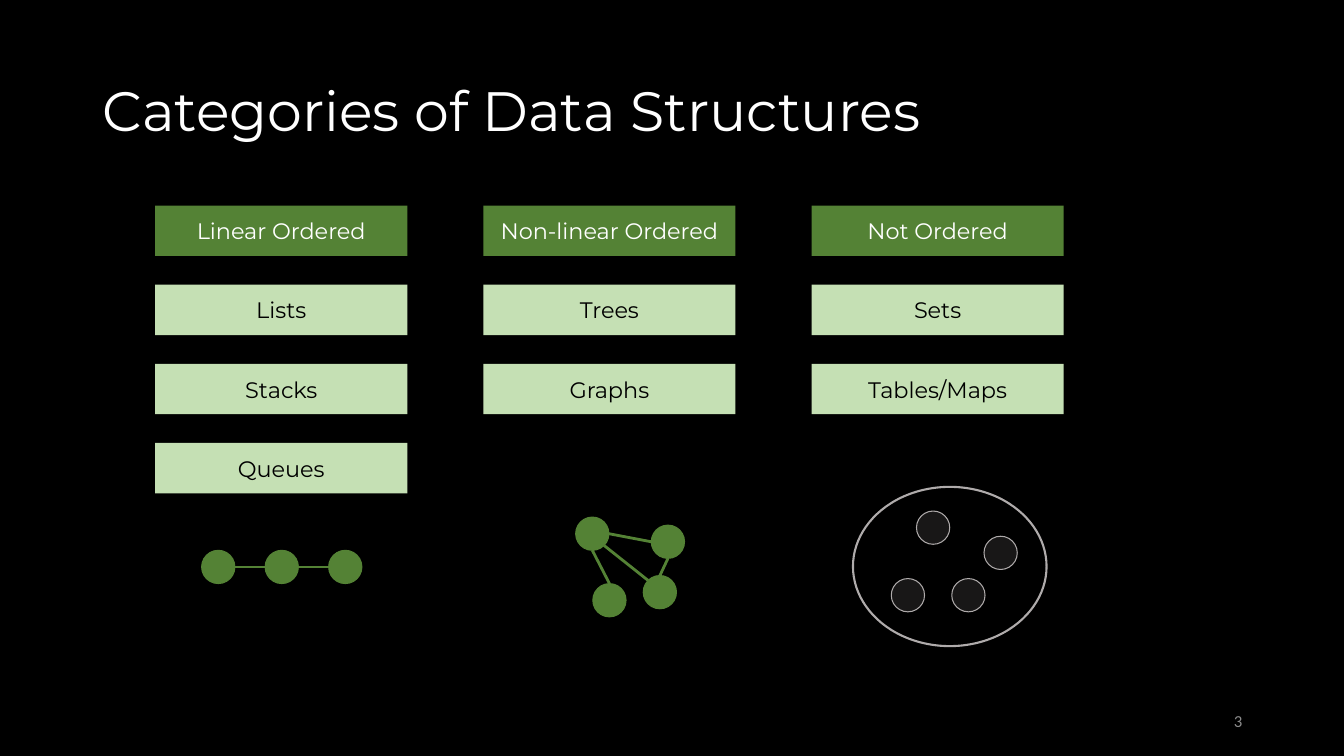
from dataclasses import dataclass
from math import cos, radians, sin

from lxml import etree
from pptx import Presentation
from pptx.dml.color import RGBColor
from pptx.enum.shapes import MSO_CONNECTOR, MSO_SHAPE
from pptx.enum.text import MSO_ANCHOR, PP_ALIGN
from pptx.oxml.ns import qn
from pptx.shapes.autoshape import Shape
from pptx.shapes.group import GroupShape
from pptx.slide import Slide
from pptx.util import Inches, Pt

RECT, OVAL = MSO_SHAPE.RECTANGLE, MSO_SHAPE.OVAL
STRAIGHT = MSO_CONNECTOR.STRAIGHT
MIDDLE = MSO_ANCHOR.MIDDLE
LEFT, CENTER, RIGHT = PP_ALIGN.LEFT, PP_ALIGN.CENTER, PP_ALIGN.RIGHT

BLACK = RGBColor(0x00, 0x00, 0x00)
WHITE = RGBColor(0xFF, 0xFF, 0xFF)
GREEN = RGBColor(0x54, 0x82, 0x35)
LIGHT_GREEN = RGBColor(0xC5, 0xE0, 0xB4)
CHARCOAL = RGBColor(0x18, 0x17, 0x17)
GREY = RGBColor(0xAF, 0xAB, 0xAB)
NUMBER_GREY = RGBColor(0x8C, 0x8C, 0x8C)

HEADING_FONT = "Montserrat"
NUMBER_FONT = "Calibri"

COLUMN_LEFT, COLUMN_STEP = 1.54, 3.255
ROW_TOP, ROW_STEP = 2.04, 0.785
BOX_W, BOX_H = 2.5, 0.5
NODE = 0.33

# Angles on a node, clockwise from its right side
EAST, SOUTH_EAST, SOUTH, WEST, NORTH_WEST, NORTH = 0, 45, 90, 180, 225, 270


@dataclass(frozen=True)
class Category:
    name: str
    members: tuple[str, ...]


@dataclass(frozen=True)
class Node:
    left: float
    top: float

    def rim(self, angle: int) -> tuple[float, float]:
        """Point on the outline at the given angle."""
        r = NODE / 2
        return (self.left + r + r * cos(radians(angle)),
                self.top + r + r * sin(radians(angle)))


@dataclass(frozen=True)
class Edge:
    start: int
    start_angle: int
    end: int
    end_angle: int


CATEGORIES = (
    Category("Linear Ordered", ("Lists", "Stacks", "Queues")),
    Category("Non-linear Ordered", ("Trees", "Graphs")),
    Category("Not Ordered", ("Sets", "Tables/Maps")),
)

CHAIN_NODES = tuple(Node(2 + 0.63 * i, 5.46) for i in range(3))
CHAIN_EDGES = tuple(Edge(i, EAST, i + 1, WEST) for i in range(2))

GRAPH_NODES = (Node(5.71, 5.13), Node(6.46, 5.21), Node(5.88, 5.79), Node(6.38, 5.71))
GRAPH_EDGES = (
    Edge(0, EAST, 1, WEST),
    Edge(1, SOUTH, 3, NORTH),
    Edge(0, SOUTH_EAST, 3, NORTH_WEST),
    Edge(0, SOUTH, 2, NORTH),
)

SET_NODES = (Node(9.09, 5.07), Node(9.76, 5.32), Node(8.84, 5.74), Node(9.44, 5.74))


def write(sp: Shape, text: str, size: float, color: RGBColor,
          align: PP_ALIGN, font: str = HEADING_FONT) -> None:
    tf = sp.text_frame
    tf.word_wrap = True
    tf.vertical_anchor = MIDDLE
    p = tf.paragraphs[0]
    p.alignment = align
    r = p.add_run()
    r.text = text
    r.font.name = font
    r.font.size = Pt(size)
    r.font.color.rgb = color


def add_text(s: Slide, left: float, top: float, width: float, height: float) -> Shape:
    return s.shapes.add_textbox(Inches(left), Inches(top), Inches(width), Inches(height))


def add_box(s: Slide, column: int, row: int, text: str,
            fill: RGBColor, color: RGBColor) -> None:
    sp = s.shapes.add_shape(RECT, Inches(COLUMN_LEFT + column * COLUMN_STEP),
                            Inches(ROW_TOP + row * ROW_STEP), Inches(BOX_W), Inches(BOX_H))
    sp.shadow.inherit = False
    sp.fill.solid()
    sp.fill.fore_color.rgb = fill
    sp.line.fill.background()
    write(sp, text, 16, color, CENTER)


def add_oval(group: GroupShape, left: float, top: float, width: float, height: float,
             fill: RGBColor | None, line: RGBColor, weight: float) -> None:
    sp = group.shapes.add_shape(OVAL, Inches(left), Inches(top), Inches(width), Inches(height))
    sp.shadow.inherit = False
    if fill is None:
        sp.fill.background()
    else:
        sp.fill.solid()
        sp.fill.fore_color.rgb = fill
    sp.line.color.rgb = line
    sp.line.width = Pt(weight)


def add_network(s: Slide, nodes: tuple[Node, ...], edges: tuple[Edge, ...],
                fill: RGBColor, line: RGBColor) -> GroupShape:
    """Group of round nodes joined by straight edges."""
    group = s.shapes.add_group_shape()
    for node in nodes:
        add_oval(group, node.left, node.top, NODE, NODE, fill, line, 0.75)
    for edge in edges:
        x1, y1 = nodes[edge.start].rim(edge.start_angle)
        x2, y2 = nodes[edge.end].rim(edge.end_angle)
        cxn = group.shapes.add_connector(STRAIGHT, Inches(x1), Inches(y1),
                                         Inches(x2), Inches(y2))
        cxn.line.color.rgb = line
        cxn.line.width = Pt(2)
        etree.SubElement(cxn._element.spPr, qn("a:effectLst"))
    return group


def main() -> None:
    prs = Presentation()
    prs.slide_width, prs.slide_height = Inches(13.33), Inches(7.5)
    s = prs.slides.add_slide(prs.slide_layouts[6])
    s.background.fill.solid()
    s.background.fill.fore_color.rgb = BLACK

    title = add_text(s, 0.92, 0.4, 11.5, 1.45)
    write(title, "Categories of Data Structures", 39.6, WHITE, LEFT)
    title.text_frame.paragraphs[0].line_spacing = 0.9

    for column, category in enumerate(CATEGORIES):
        add_box(s, column, 0, category.name, GREEN, WHITE)
        for row, member in enumerate(category.members, start=1):
            add_box(s, column, row, member, LIGHT_GREEN, BLACK)

    set_group = add_network(s, SET_NODES, (), CHARCOAL, GREY)
    add_oval(set_group, 8.46, 4.83, 1.92, 1.58, None, GREY, 1.5)
    add_network(s, CHAIN_NODES, CHAIN_EDGES, GREEN, GREEN)
    add_network(s, GRAPH_NODES, GRAPH_EDGES, GREEN, GREEN)

    number = add_text(s, 9.42, 6.95, 3, 0.4)
    write(number, "3", 12, NUMBER_GREY, RIGHT, NUMBER_FONT)

    prs.save("out.pptx")


if __name__ == "__main__":
    main()
